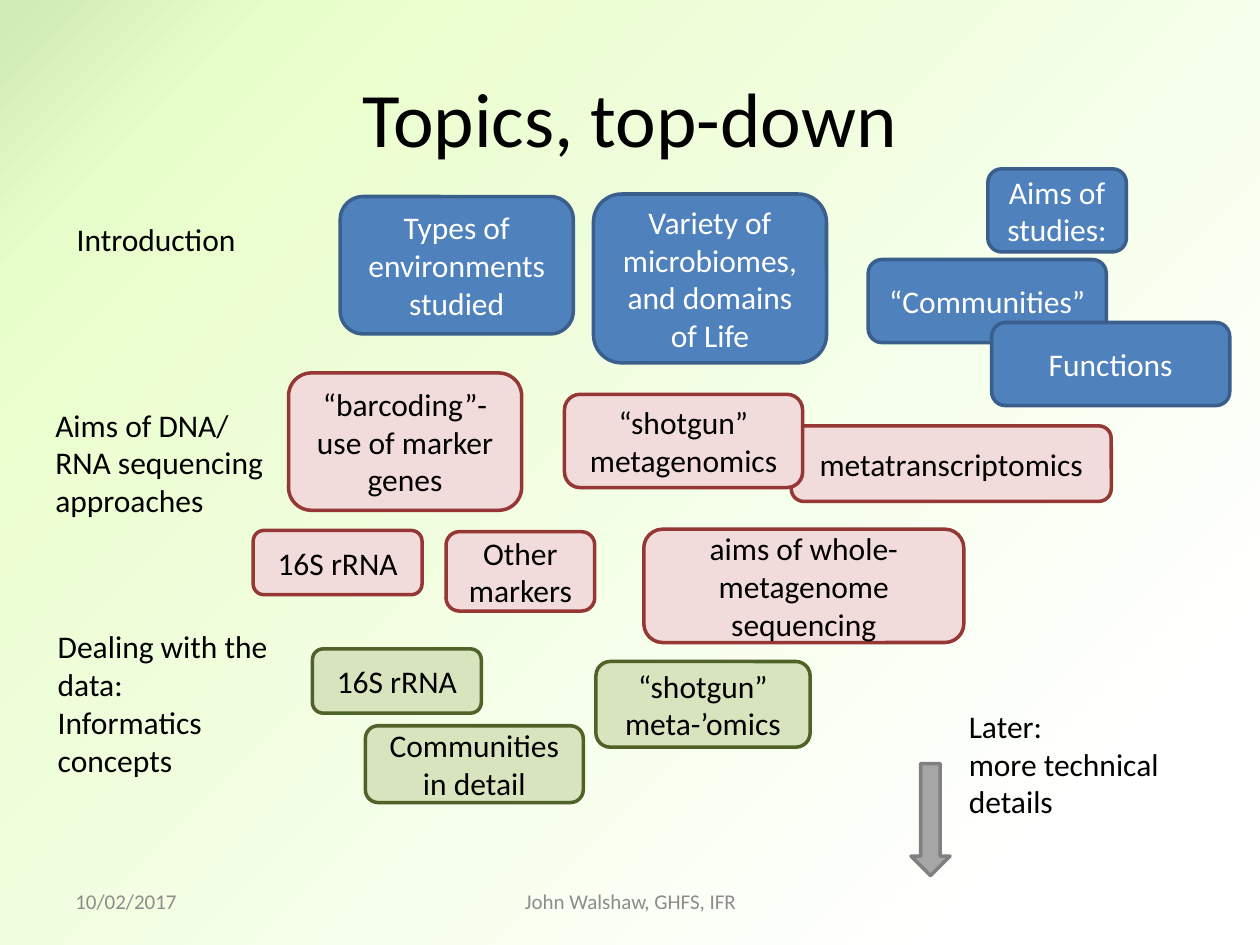
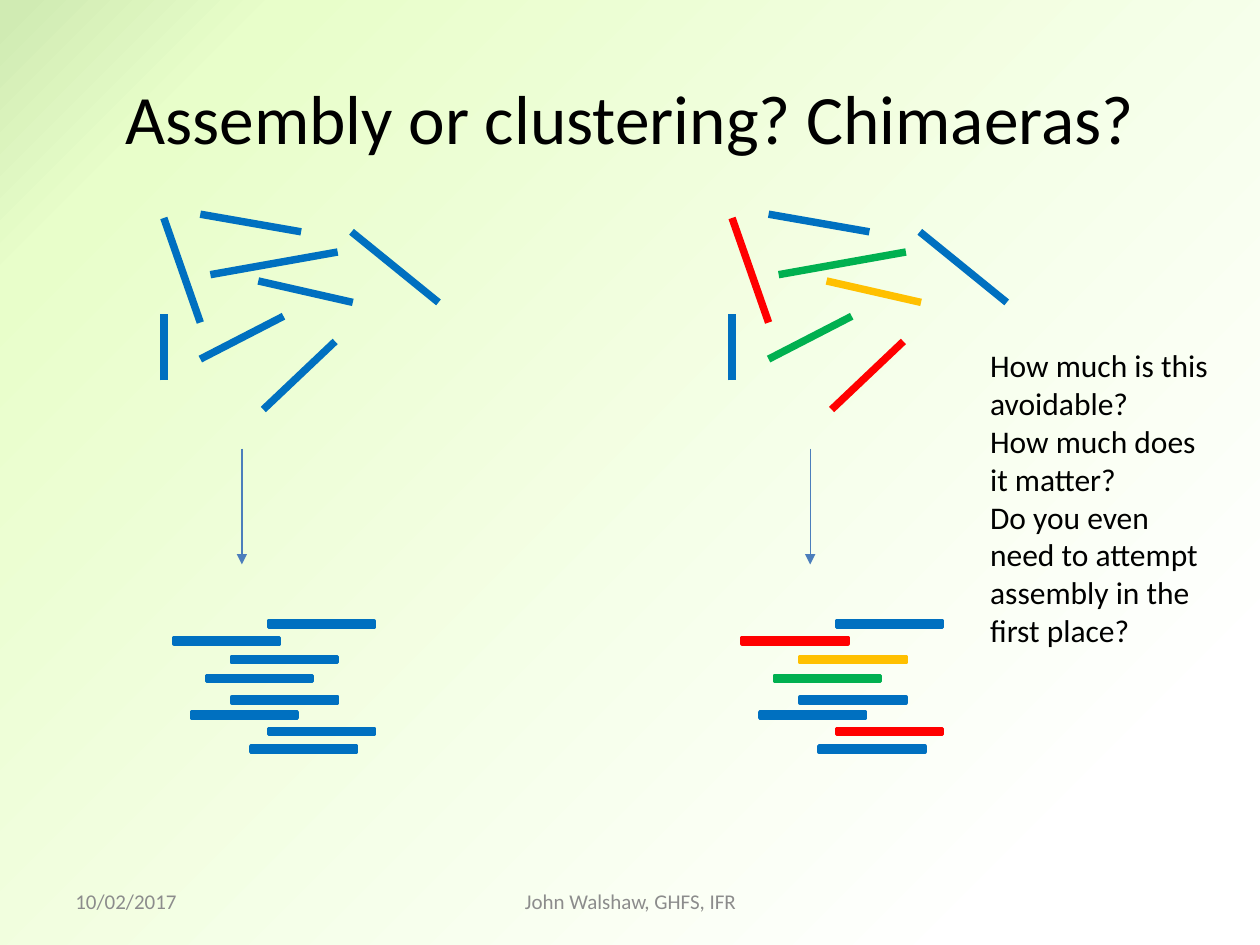
from collections import namedtuple
from copy import deepcopy
from dataclasses import dataclass

from lxml import etree
from pptx import Presentation
from pptx import util as u
from pptx.dml.color import RGBColor
from pptx.enum import shapes, text
from pptx.oxml import ns

EMU_PER_PX = 9144  # 100 px to the inch
TITLE_ONLY = 5

Palette = namedtuple("Palette", "fill line ink")


@dataclass(frozen=True)
class Theme:
    font: str = "Calibri"
    ink: str = "000000"
    footer_ink: str = "8C8C8C"
    background: tuple = ((0.01, "D0EBB3"), (0.13, "E8FECA"), (0.87, "FFFFFF"))
    intro: Palette = Palette("4F81BD", "3A5F8C", "FFFFFF")
    sequencing: Palette = Palette("F2DCDB", "953735", "000000")
    informatics: Palette = Palette("D7E4BD", "4F6228", "000000")
    later: Palette = Palette("A6A6A6", "808080", "000000")
    blue: str = "0070C0"
    red: str = "FF0000"
    green: str = "00B050"
    amber: str = "FFC000"
    flow: str = "4B7EBC"
    title_size: float = 44
    long_title_size: float = 39.6
    body_size: float = 18
    footer_size: float = 12
    outline: float = 2
    read_width: float = 4.25
    flow_width: float = 0.75


THEME = Theme()

TOPICS = (
    (THEME.intro, (
        ("Types of environments studied", (270, 156, 185, 109)),
        ("Variety of microbiomes, and domains of Life", (471, 154, 185, 134)),
        ("Aims of studies:", (784, 134, 110, 66)),
        ("“Communities”", (689, 206, 189, 66)),
        ("Functions", (787, 256, 189, 66)),
    )),
    (THEME.sequencing, (
        ("“barcoding”- use of marker genes", (229, 296, 185, 109)),
        ("metatranscriptomics", (628, 338, 254, 60)),
        ("“shotgun” metagenomics", (448, 313, 189, 74)),
        ("16S rRNA", (201, 421, 134, 51)),
        ("Other markers", (354, 422, 118, 63)),
        ("aims of whole-metagenome sequencing", (511, 420, 254, 90)),
    )),
    (THEME.informatics, (
        ("16S rRNA", (248, 515, 134, 51)),
        ("“shotgun” meta-’omics", (473, 525, 170, 68)),
        ("Communities in detail", (290, 576, 173, 61)),
    )),
)

STAGE_LABELS = (
    ("Aims of DNA/ RNA sequencing\napproaches", (34, 317, 189, 101)),
    ("Dealing with the data:\nInformatics concepts", (36, 493, 189, 131)),
    ("Later:\nmore technical details", (759, 556, 198, 101)),
)

# Each read: start, end, and its colour when the sample is mixed
SCATTERED_READS = (
    ((167, 218), (268, 200), THEME.green),
    ((205, 223), (280, 240), THEME.amber),
    ((159, 256), (130, 173), THEME.red),
    ((209, 325), (266, 271), THEME.red),
    ((130, 302), (130, 249), THEME.blue),
    ((159, 285), (225, 251), THEME.green),
    ((348, 240), (279, 184), THEME.blue),
    ((159, 170), (239, 184), THEME.blue),
)

# Each read: left, top, and its colour when the sample is mixed
ALIGNED_READS = (
    (213, 493, THEME.blue),
    (138, 506, THEME.red),
    (184, 521, THEME.amber),
    (164, 536, THEME.green),
    (184, 553, THEME.blue),
    (152, 565, THEME.blue),
    (213, 578, THEME.red),
    (199, 592, THEME.blue),
)
READ_LENGTH, READ_HEIGHT = 84, 5
MIXED_SHIFT = 451

QUESTIONS = ("How much is this avoidable?\nHow much does it matter?\n"
             "Do you even need to attempt assembly in the first place?")


def px(*lengths):
    return [u.Emu(length * EMU_PER_PX) for length in lengths]


def rgb(colour):
    return RGBColor.from_string(colour)


def write(frame, words, size, colour, align, anchor):
    frame.text = words
    frame.word_wrap = True
    frame.vertical_anchor = anchor
    for para in frame.paragraphs:
        para.alignment = align
        for span in para.runs:
            span.font.name = THEME.font
            span.font.size = u.Pt(size)
            span.font.color.rgb = rgb(colour)


def add_label(page, words, box, size=THEME.body_size, colour=THEME.ink,
              align=text.PP_ALIGN.LEFT, anchor=text.MSO_ANCHOR.TOP):
    label = page.shapes.add_textbox(*px(*box))
    write(label.text_frame, words, size, colour, align, anchor)
    return label


def add_block(page, preset, box, fill, line):
    block = page.shapes.add_shape(preset, *px(*box))
    block.shadow.inherit = False
    block.fill.solid()
    block.fill.fore_color.rgb = rgb(fill)
    block.line.color.rgb = rgb(line)
    block.line.width = u.Pt(THEME.outline)
    return block


def add_topic(page, words, box, palette):
    topic = add_block(page, shapes.MSO_SHAPE.ROUNDED_RECTANGLE, box,
                      palette.fill, palette.line)
    write(topic.text_frame, words, THEME.body_size, palette.ink,
          text.PP_ALIGN.CENTER, text.MSO_ANCHOR.MIDDLE)


def add_line(page, start, end, colour, width, arrow=False):
    line = page.shapes.add_connector(shapes.MSO_CONNECTOR.STRAIGHT,
                                     *px(*start, *end))
    line.line.color.rgb = rgb(colour)
    line.line.width = u.Pt(width)
    if arrow:
        etree.SubElement(line.line._get_or_add_ln(), ns.qn("a:tailEnd"),
                         type="triangle")
    etree.SubElement(line.element.spPr, ns.qn("a:effectLst"))


def paint_background(master):
    """Give every slide the three-stop diagonal gradient."""
    fill = master.background.fill
    fill.gradient()
    fill.gradient_angle = 315
    stop_list = master.element.find(".//" + ns.qn("a:gsLst"))
    while len(stop_list) < len(THEME.background):
        stop_list.append(deepcopy(stop_list[-1]))
    for stop, (position, colour) in zip(fill.gradient_stops, THEME.background):
        stop.position = position
        stop.color.rgb = rgb(colour)


def add_page(deck, title, title_size):
    """Add a slide with its title, date and footer."""
    page = deck.slides.add_slide(deck.slide_layouts[TITLE_ONLY])
    heading = page.shapes.title
    heading.left, heading.top, heading.width, heading.height = px(50, 30, 900, 125)
    write(heading.text_frame, title, title_size, THEME.ink,
          text.PP_ALIGN.CENTER, text.MSO_ANCHOR.MIDDLE)
    for words, box, align in (
        ("10/02/2017", (50, 695, 233, 40), text.PP_ALIGN.LEFT),
        ("John Walshaw, GHFS, IFR", (342, 695, 317, 40), text.PP_ALIGN.CENTER),
    ):
        add_label(page, words, box, THEME.footer_size, THEME.footer_ink,
                  align, text.MSO_ANCHOR.MIDDLE)
    return page


def add_sample(page, shift=0, mixed=False):
    """Draw scattered reads, an arrow, and the same reads aligned."""
    for (x1, y1), (x2, y2), colour in SCATTERED_READS:
        add_line(page, (x1 + shift, y1), (x2 + shift, y2),
                 colour if mixed else THEME.blue, THEME.read_width)
    for left, top, mixed_colour in ALIGNED_READS:
        colour = mixed_colour if mixed else THEME.blue
        add_block(page, shapes.MSO_SHAPE.RECTANGLE,
                  (left + shift, top, READ_LENGTH, READ_HEIGHT), colour, colour)
    add_line(page, (192 + shift, 356), (192 + shift, 448),
             THEME.flow, THEME.flow_width, arrow=True)


def build_topics(deck):
    page = add_page(deck, "Topics, top-down", THEME.title_size)
    for palette, topics in TOPICS:
        for words, box in topics:
            add_topic(page, words, box, palette)
    introduction = add_label(page, "Introduction", (51, 170, 148, 40))
    introduction.text_frame.word_wrap = False
    for words, box in STAGE_LABELS:
        add_label(page, words, box)
    add_block(page, shapes.MSO_SHAPE.DOWN_ARROW, (723, 606, 31, 89),
              THEME.later.fill, THEME.later.line)


def build_assembly(deck):
    page = add_page(deck, "Assembly or clustering? Chimaeras?",
                    THEME.long_title_size)
    add_sample(page)
    add_sample(page, MIXED_SHIFT, mixed=True)
    add_label(page, QUESTIONS, (776, 270, 201, 252))


def main():
    deck = Presentation()
    deck.slide_width, deck.slide_height = px(1000, 750)
    paint_background(deck.slide_master)
    build_topics(deck)
    build_assembly(deck)
    deck.save("out.pptx")


if __name__ == "__main__":
    main()
